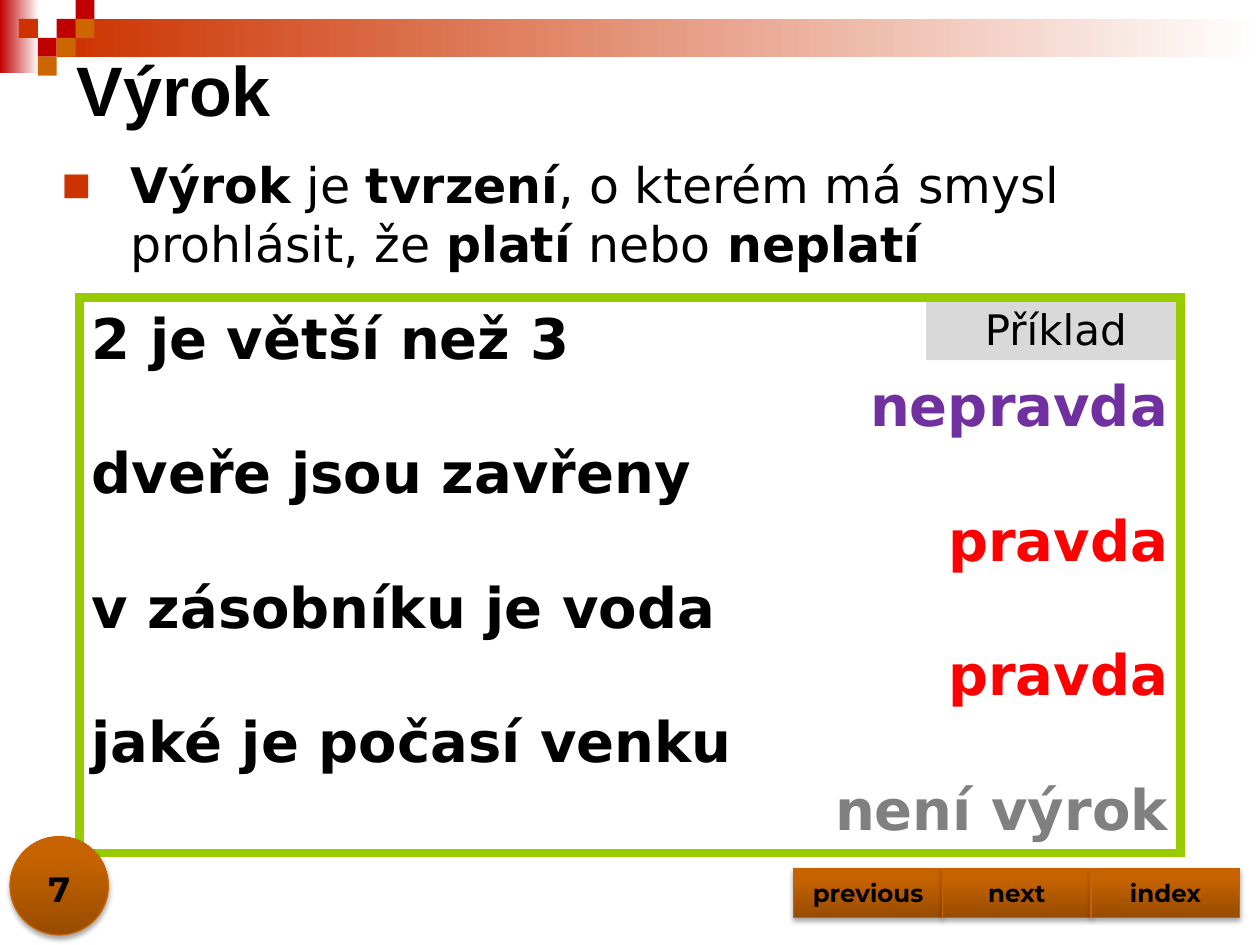
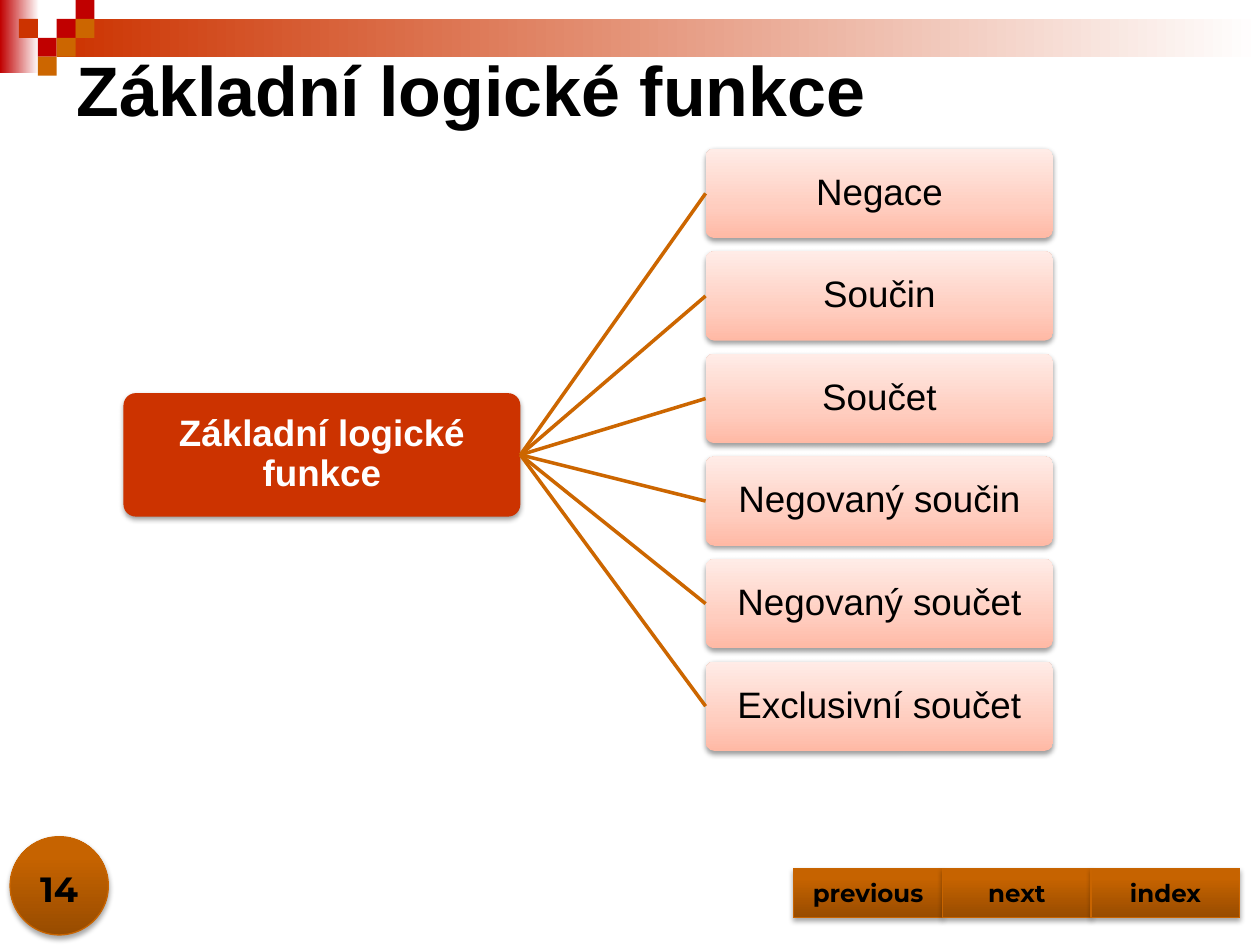
from dataclasses import dataclass

import pptx
import pptx.dml.color
import pptx.enum.shapes
import pptx.enum.text
import pptx.oxml.ns
import pptx.util
from lxml import etree
from pptx.util import Inches

SHAPE = pptx.enum.shapes.MSO_SHAPE
ALIGN = pptx.enum.text.PP_ALIGN
ANCHOR = pptx.enum.text.MSO_ANCHOR
qn = pptx.oxml.ns.qn


@dataclass(frozen=True)
class Theme:
    black: str = "000000"
    white: str = "FFFFFF"
    crimson: str = "C00000"
    brick: str = "CC3300"
    orange: str = "CC6600"
    green: str = "99CC00"
    purple: str = "7030A0"
    red: str = "FF0000"
    gray: str = "808080"
    light_gray: str = "D9D9D9"
    button_line: str = "C86400"
    button_fill: tuple = ((0, "984C00"), (80, "C66300"), (100, "C76300"))
    node_fill: tuple = ((0, "FFB9A5"), (35, "FFCDBF"), (100, "FFECE7"))

    title_font: str = "Arial"
    body_font: str = "DejaVu Sans"
    control_font: str = "Montserrat"

    title_size: int = 40
    example_size: int = 32
    body_size: int = 28
    label_size: int = 24
    node_size: int = 21
    number_size: int = 20
    button_size: int = 14

    node_spacing: float = 0.9


def rgb(value):
    return pptx.dml.color.RGBColor.from_string(value)


def add_element(parent, tag, **attributes):
    child = etree.SubElement(parent, qn(tag))
    for name, value in attributes.items():
        child.set(name, str(value))
    return child


class SlideBuilder:
    def __init__(self, presentation, theme):
        self.presentation = presentation
        self.theme = theme
        self.slide = None

    def start_slide(self, title):
        layout = self.presentation.slide_layouts[6]
        self.slide = self.presentation.slides.add_slide(layout)
        self.header()
        self.text_box((0.51, 0.31, 8.5, 0.79), title, self.theme.title_size,
                      self.theme.title_font, bold=True, anchor=ANCHOR.MIDDLE)

    def shape(self, kind, box, fill=None, angle=0, line=None, line_width=0.75):
        """Add a preset shape; fill is a colour, a tuple of gradient stops or None."""
        shape = self.slide.shapes.add_shape(kind, *map(Inches, box))
        shape.shadow.inherit = False
        if fill is None:
            shape.fill.background()
        elif isinstance(fill, str):
            shape.fill.solid()
            shape.fill.fore_color.rgb = rgb(fill)
        else:
            self.gradient(shape, fill, angle)
        if line:
            shape.line.color.rgb = rgb(line)
            shape.line.width = pptx.util.Pt(line_width)
            add_element(shape._element.spPr.find(qn("a:ln")), "a:miter",
                        lim=800000)
        else:
            shape.line.fill.background()
        return shape

    def gradient(self, shape, stops, angle):
        shape.fill.gradient()
        shape.fill.gradient_angle = angle
        stop_list = next(shape._element.spPr.iter(qn("a:gsLst")))
        for stop in list(stop_list):
            stop_list.remove(stop)
        for position, color in stops:
            stop = add_element(stop_list, "a:gs", pos=position * 1000)
            add_element(stop, "a:srgbClr", val=color)

    def drop_shadow(self, shape, opacity, distance):
        effects = shape._element.spPr.find(qn("a:effectLst"))
        shadow = add_element(effects, "a:outerShdw",
                             blurRad=pptx.util.Pt(3.1),
                             dist=pptx.util.Pt(distance),
                             dir=90 * 60000, rotWithShape=0)
        color = add_element(shadow, "a:srgbClr", val=self.theme.black)
        add_element(color, "a:alpha", val=opacity * 1000)

    def style(self, paragraph, size, font, color=None, bold=False,
              align=ALIGN.LEFT, spacing=None):
        paragraph.alignment = align
        if spacing:
            paragraph.line_spacing = spacing
        paragraph.font.size = pptx.util.Pt(size)
        paragraph.font.name = font
        paragraph.font.bold = bold
        paragraph.font.color.rgb = rgb(color or self.theme.black)

    def frame(self, shape, anchor=ANCHOR.MIDDLE, margin=None):
        frame = shape.text_frame
        frame.word_wrap = True
        frame.vertical_anchor = anchor
        if margin is not None:
            frame.margin_left = frame.margin_right = Inches(margin)
            frame.margin_top = frame.margin_bottom = Inches(margin)
        return frame

    def label(self, shape, text, size, font, anchor=ANCHOR.MIDDLE,
              margin=None, **style):
        """Write one styled paragraph into a shape."""
        paragraph = self.frame(shape, anchor, margin).paragraphs[0]
        paragraph.text = text
        self.style(paragraph, size, font, **style)

    def text_box(self, box, text, size, font, **options):
        shape = self.slide.shapes.add_textbox(*map(Inches, box))
        self.label(shape, text, size, font, **options)

    def header(self):
        theme = self.theme
        for box, color in (((0, 0, 0.31, 0.58), theme.crimson),
                           ((0.45, 0.15, 9.55, 0.3), theme.brick)):
            self.shape(SHAPE.RECTANGLE, box, ((0, color), (100, theme.white)))
        side = 0.15
        for column, row, color in (
                (3, 1, theme.crimson), (4, 0, theme.crimson),
                (4, 1, theme.orange), (2, 2, theme.crimson),
                (1, 1, theme.brick), (3, 2, theme.orange),
                (2, 3, theme.orange)):
            self.shape(SHAPE.RECTANGLE,
                       (column * side, row * side, side, side), color)

    def control(self, kind, box):
        shape = self.shape(kind, box, self.theme.button_fill, 90,
                           self.theme.button_line)
        self.drop_shadow(shape, 35, 1.8)
        return shape

    def navigation(self, number):
        """Add the buttons and the slide number, above all other content."""
        theme = self.theme
        width = 1.18
        for index, text in enumerate(("previous", "next", "index")):
            button = self.control(SHAPE.ACTION_BUTTON_CUSTOM,
                                  (6.3 + index * width, 6.89, width, 0.39))
            self.label(button, text, theme.button_size, theme.control_font,
                       bold=True, align=ALIGN.CENTER)
        self.control(SHAPE.OVAL, (0.08, 6.64, 0.78, 0.78))
        self.text_box((0, 6.77, 0.94, 0.5), str(number), theme.number_size,
                      theme.control_font, anchor=ANCHOR.BOTTOM, bold=True,
                      align=ALIGN.CENTER)

    def bullet(self, box, runs):
        """Add a bulleted paragraph from (text, bold) runs."""
        theme = self.theme
        shape = self.slide.shapes.add_textbox(*map(Inches, box))
        paragraph = self.frame(shape, ANCHOR.TOP).paragraphs[0]
        properties = paragraph._p.get_or_add_pPr()
        properties.set("marL", str(Inches(0.55)))
        properties.set("indent", str(-Inches(0.55)))
        color = add_element(properties, "a:buClr")
        add_element(color, "a:srgbClr", val=theme.brick)
        add_element(properties, "a:buFont", typeface=theme.title_font)
        add_element(properties, "a:buChar", char="■")
        self.style(paragraph, theme.body_size, theme.body_font)
        for text, bold in runs:
            run = paragraph.add_run()
            run.text = text
            run.font.bold = bold

    def example(self, box, statements):
        """Add a framed list of statements, each followed by its verdict."""
        theme = self.theme
        tag = self.shape(SHAPE.RECTANGLE, (7.35, box[1], 2.06, 0.5),
                         theme.light_gray)
        self.label(tag, "Příklad", theme.label_size, theme.body_font,
                   anchor=ANCHOR.TOP, align=ALIGN.CENTER)
        border = self.shape(SHAPE.RECTANGLE, box, line=theme.green, line_width=5)
        frame = self.frame(border, ANCHOR.TOP)
        lines = []
        for statement, verdict, color in statements:
            lines.append((statement, theme.black, ALIGN.LEFT))
            lines.append((verdict, color, ALIGN.RIGHT))
        for index, (text, color, align) in enumerate(lines):
            paragraph = frame.add_paragraph() if index else frame.paragraphs[0]
            paragraph.text = text
            self.style(paragraph, theme.example_size, theme.body_font, color,
                       True, align)

    def node(self, box, text, fill, color, bold=False):
        theme = self.theme
        node = self.shape(SHAPE.ROUNDED_RECTANGLE, box, fill, 90)
        node.adjustments[0] = 0.1
        self.drop_shadow(node, 38, 1.6)
        self.label(node, text, theme.node_size, theme.title_font, margin=0.03,
                   color=color, bold=bold, align=ALIGN.CENTER,
                   spacing=theme.node_spacing)
        return node

    def branch(self, root, leaf):
        """Join the right side of root to the left side of leaf."""
        connector = self.slide.shapes.add_connector(
            pptx.enum.shapes.MSO_CONNECTOR.STRAIGHT, 0, 0, 0, 0)
        connector.begin_connect(root, 3)
        connector.end_connect(leaf, 1)
        connector.line.color.rgb = rgb(self.theme.orange)
        connector.line.width = pptx.util.Pt(2)
        add_element(connector._element.spPr, "a:effectLst")


def build_statement_slide(builder):
    theme = builder.theme
    builder.start_slide("Výrok")
    builder.bullet((0.39, 1.18, 9.61, 1.04), (
        ("Výrok", True), (" je ", False), ("tvrzení", True),
        (", o kterém má smysl prohlásit, že ", False),
        ("platí ", True), ("nebo", False), (" neplatí", True)))
    builder.example((0.63, 2.36, 8.74, 4.41), (
        ("2 je větší než 3", "nepravda", theme.purple),
        ("dveře jsou zavřeny", "pravda", theme.red),
        ("v zásobníku je voda", "pravda", theme.red),
        ("jaké je počasí venku", "není výrok", theme.gray)))
    builder.navigation(7)


def build_functions_slide(builder):
    theme = builder.theme
    title = "Základní logické funkce"
    builder.start_slide(title)
    root = builder.node((0.98, 3.12, 3.15, 0.98), title, theme.brick,
                        theme.white, bold=True)
    functions = ("Negace", "Součin", "Součet", "Negovaný součin",
                 "Negovaný součet", "Exclusivní součet")
    first_top, last_top = 1.18, 5.25
    pitch = (last_top - first_top) / (len(functions) - 1)
    for index, name in enumerate(functions):
        leaf = builder.node((5.6, first_top + index * pitch, 2.76, 0.71), name,
                            theme.node_fill, theme.black)
        builder.branch(root, leaf)
    builder.navigation(14)


def main():
    presentation = pptx.Presentation()
    presentation.slide_width = Inches(10)
    presentation.slide_height = Inches(7.5)
    builder = SlideBuilder(presentation, Theme())
    build_statement_slide(builder)
    build_functions_slide(builder)
    presentation.save("out.pptx")


if __name__ == "__main__":
    main()
